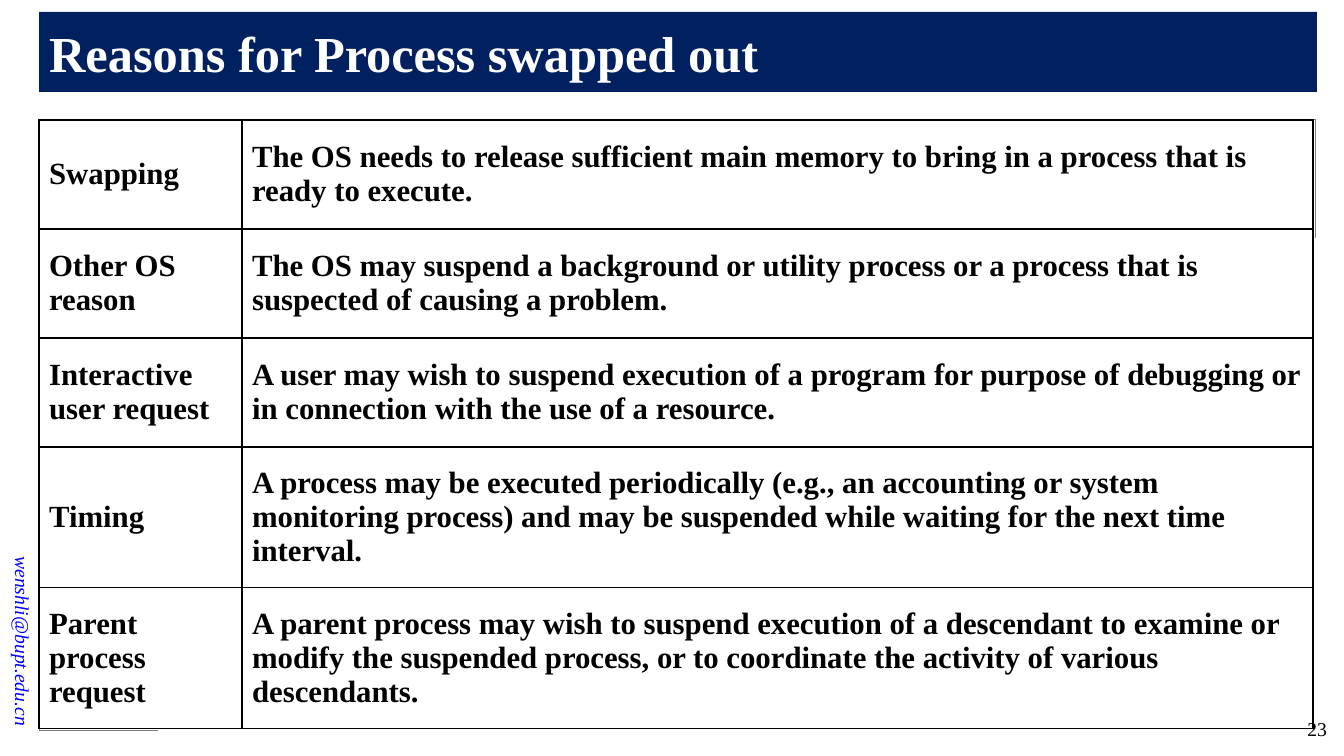
"""Build the slide listing reasons for a process being swapped out."""
from lxml.etree import SubElement
from pptx import Presentation
from pptx.dml.color import RGBColor
from pptx.enum.shapes import MSO_CONNECTOR
from pptx.enum.text import MSO_ANCHOR, MSO_AUTO_SIZE, PP_ALIGN
from pptx.oxml.ns import qn
from pptx.util import Emu, Pt

FONT = "Times New Roman"
COLORS = {
    "banner": "002060",
    "title": "FFFFFF",
    "ink": "000000",
    "email": "0000FF",
    "corner": "808080",
}
SLIDE_SIZE = (1344, 756)
BANNER_BOX = (39, 12, 1278, 80)
TABLE_BOX = (39, 120, 1274, 610)
EMAIL_BOX = (-110, 586, 266, 34)
NUMBER_BOX = (1225, 712, 112, 36)
LABEL_WIDTH = 203
ROW_HEIGHTS = (109, 109, 109, 141, 141)
CORNERS = [
    ((39, 12), 199, 60),
    ((39, 730), 119, -198),
    ((1315, 119), -198, 119),
]
REASONS = [
    ("Swapping",
     "The OS needs to release sufficient main memory to bring in a process "
     "that is ready to execute."),
    ("Other OS\nreason",
     "The OS may suspend a background or utility process or a process that "
     "is suspected of causing a problem."),
    ("Interactive\nuser request",
     "A user may wish to suspend execution of a program for purpose of "
     "debugging or in connection with the use of a resource."),
    ("Timing",
     "A process may be executed periodically (e.g., an accounting or system "
     "monitoring process) and may be suspended while waiting for the next "
     "time interval."),
    ("Parent\nprocess\nrequest",
     "A parent process may wish to suspend execution of a descendant to "
     "examine or modify the suspended process, or to coordinate the activity "
     "of various descendants."),
]


def px(length):
    """Turn pixels into EMU."""
    return Emu(round(length * 914400 / 100.8))


def color(name):
    """Look up a colour by its role."""
    return RGBColor.from_string(COLORS[name])


def write(frame, text, size, ink, align=PP_ALIGN.LEFT, bold=False, italic=False):
    """Fill a text frame with one formatted paragraph."""
    paragraph = frame.paragraphs[0]
    paragraph.text = text
    paragraph.alignment = align
    font = paragraph.font
    font.name, font.size = FONT, Pt(size)
    font.bold, font.italic = bold, italic
    font.color.rgb = color(ink)


def add_corner(slide, corner, across, down):
    """Draw the two arms of a frame corner."""
    x, y = corner
    for end_x, end_y in ((x + across, y), (x, y + down)):
        arm = slide.shapes.add_connector(
            MSO_CONNECTOR.STRAIGHT, px(x), px(y), px(end_x), px(end_y))
        arm.line.color.rgb = color("corner")
        arm.line.width = Pt(0.5)
        SubElement(arm.element.spPr, qn("a:effectLst"))


def place_title(slide, box, text):
    """Turn the title placeholder into the banner, above the corners."""
    banner = slide.shapes.title
    banner.left, banner.top, banner.width, banner.height = map(px, box)
    banner.fill.solid()
    banner.fill.fore_color.rgb = color("banner")
    frame = banner.text_frame
    frame.auto_size = MSO_AUTO_SIZE.NONE
    frame.vertical_anchor = MSO_ANCHOR.MIDDLE
    write(frame, text, 36, "title", bold=True)
    banner.element.getparent().append(banner.element)


def add_borders(cell):
    """Outline a cell on all four sides."""
    properties = cell._tc.get_or_add_tcPr()
    for side in ("lnL", "lnR", "lnT", "lnB"):
        border = SubElement(properties, qn(f"a:{side}"), w=str(Pt(1)))
        fill = SubElement(border, qn("a:solidFill"))
        SubElement(fill, qn("a:srgbClr"), val=COLORS["ink"])


def add_reasons(slide, box):
    """Add the table of reasons and their explanations."""
    table = slide.shapes.add_table(len(REASONS), 2, *map(px, box)).table
    table.first_row = table.horz_banding = False
    table.columns[0].width = px(LABEL_WIDTH)
    table.columns[1].width = px(box[2] - LABEL_WIDTH)
    for row, height, texts in zip(table.rows, ROW_HEIGHTS, REASONS):
        row.height = px(height)
        for cell, text in zip(row.cells, texts):
            add_borders(cell)
            cell.fill.background()
            cell.vertical_anchor = MSO_ANCHOR.MIDDLE
            write(cell.text_frame, text, 22, "ink", bold=True)


def add_note(slide, box, text, ink, anchor, rotation=0, italic=False):
    """Add a small right-aligned margin text."""
    note = slide.shapes.add_textbox(*map(px, box))
    note.rotation = rotation
    note.text_frame.word_wrap = True
    note.text_frame.vertical_anchor = anchor
    write(note.text_frame, text, 14, ink, PP_ALIGN.RIGHT, italic=italic)


def main():
    """Assemble and save the slide."""
    deck = Presentation()
    deck.slide_width, deck.slide_height = map(px, SLIDE_SIZE)
    slide = deck.slides.add_slide(deck.slide_layouts[5])
    add_note(slide, EMAIL_BOX, "wenshli@bupt.edu.cn", "email",
             MSO_ANCHOR.MIDDLE, rotation=90, italic=True)
    for corner in CORNERS:
        add_corner(slide, *corner)
    place_title(slide, BANNER_BOX, "Reasons for Process swapped out")
    add_reasons(slide, TABLE_BOX)
    add_note(slide, NUMBER_BOX, "23", "ink", MSO_ANCHOR.TOP)
    deck.save("out.pptx")


if __name__ == "__main__":
    main()
